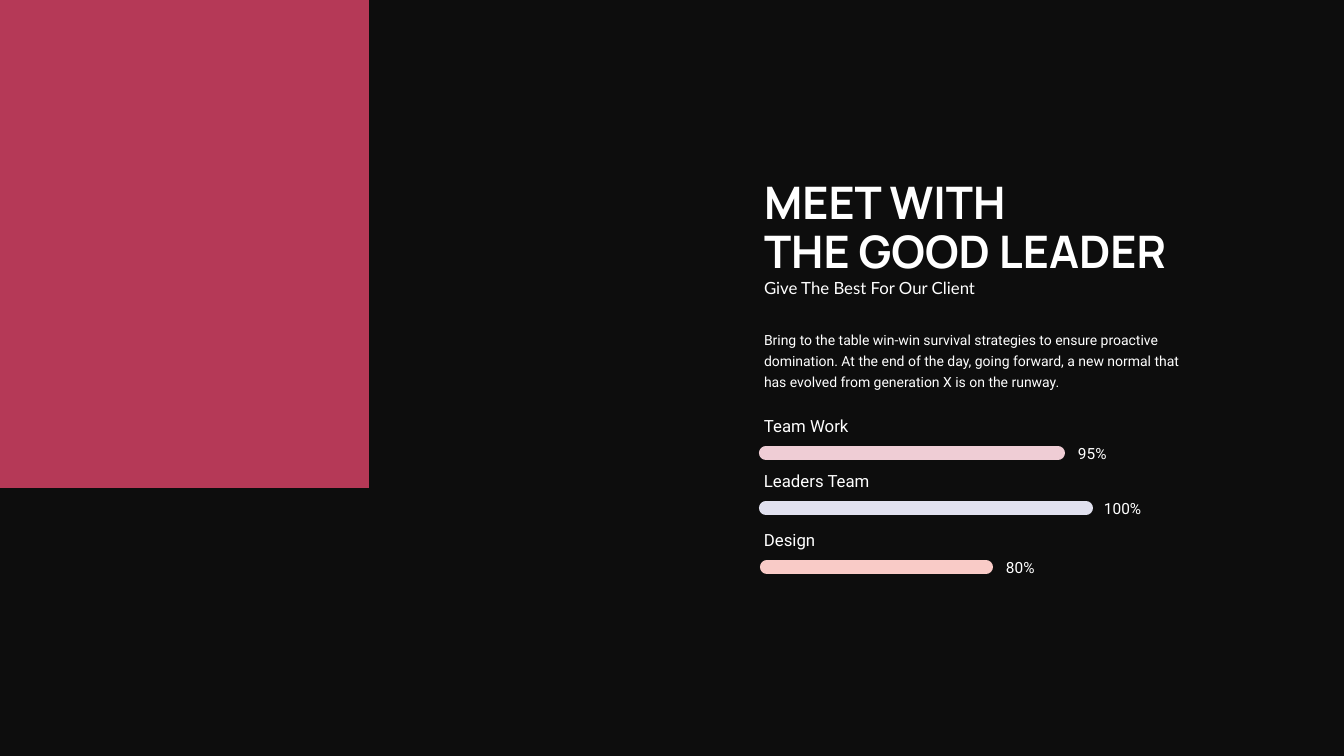
"""Build the team leader slide with three skill bars."""
from lxml import etree
from pptx import Presentation
from pptx import util as u
from pptx.dml.color import RGBColor
from pptx.enum import shapes, text
from pptx.oxml import ns

SCALE = 914400 / 100.8
LEFT, WIDTH = 764, 420
COLORS = {
    "back": "0D0D0D",
    "panel": "B53957",
    "text": "FFFFFF",
    "rose": "EFCDD5",
    "lilac": "E1E1EF",
    "peach": "F9CBC7",
}
SKILLS = [
    ("Team Work", "95%", 453, 766, 1058, 1078, "rose"),
    ("Leaders Team", "100%", 508, 766, 1086, 1104, "lilac"),
    ("Design", "80%", 567, 767, 986, 1006, "peach"),
]


def px(n):
    return u.Emu(round(n * SCALE))


def rgb(name):
    return RGBColor.from_string(COLORS[name])


def write(sp, words, size, font, spacing=None, bold=False):
    tf = sp.text_frame
    tf.margin_left = tf.margin_top = tf.margin_right = tf.margin_bottom = 0
    tf.word_wrap = True
    tf.auto_size = text.MSO_AUTO_SIZE.NONE
    tf.text = words
    for p in tf.paragraphs:
        p.alignment = text.PP_ALIGN.LEFT
        if spacing:
            p.line_spacing = u.Pt(spacing)
        for r in p.runs:
            r.font.name = font
            r.font.size = u.Pt(size)
            r.font.bold = bold
            r.font.color.rgb = rgb("text")


def add_text(s, x, y, w, h, words, size, font="Roboto", spacing=None):
    sp = s.shapes.add_textbox(px(x), px(y), px(w), px(h))
    write(sp, words, size, font, spacing)


def add_title(s, x, y, w, h, words):
    sp = s.shapes.title
    sp.left, sp.top, sp.width, sp.height = px(x), px(y), px(w), px(h)
    write(sp, words, 32, "Manrope", 35, True)
    sp.text_frame.vertical_anchor = text.MSO_ANCHOR.MIDDLE


def add_panel(s, x, y, w, h, color):
    sp = s.shapes.add_shape(shapes.MSO_SHAPE.RECTANGLE, px(x), px(y), px(w), px(h))
    sp.shadow.inherit = False
    sp.fill.solid()
    sp.fill.fore_color.rgb = rgb(color)
    sp.line.fill.background()


def add_bar(s, start, end, y, color):
    bar = s.shapes.add_connector(
        shapes.MSO_CONNECTOR.STRAIGHT, px(end), px(y), px(start), px(y))
    bar.line.color.rgb = rgb(color)
    bar.line.width = u.Pt(10)
    spPr = bar._element.spPr
    spPr.find(ns.qn("a:ln")).set("cap", "rnd")
    etree.SubElement(spPr, ns.qn("a:effectLst"))


def add_skill(s, label, percent, y, start, end, percent_x, color):
    add_text(s, LEFT, y - 37, 187, 20, label, 12)
    add_bar(s, start, end, y, color)
    add_text(s, percent_x, y - 9, 43, 19, percent, 11)


def main():
    prs = Presentation()
    prs.slide_width, prs.slide_height = px(1344), px(756)
    s = prs.slides.add_slide(prs.slide_layouts[5])
    s.background.fill.solid()
    s.background.fill.fore_color.rgb = rgb("back")
    add_panel(s, 0, 0, 369, 488, "panel")
    add_title(s, LEFT, 179, WIDTH, 99, "MEET WITH\nTHE GOOD LEADER")
    add_text(s, LEFT, 278, WIDTH, 20, "Give The Best For Our Client", 12, "Lato")
    add_text(s, LEFT, 327, WIDTH, 61,
             "Bring to the table win-win survival strategies to ensure proactive "
             "domination. At the end of the day, going forward, a new normal that "
             "has evolved from generation X is on the runway.", 10, spacing=15)
    for skill in SKILLS:
        add_skill(s, *skill)
    prs.save("out.pptx")


if __name__ == "__main__":
    main()
